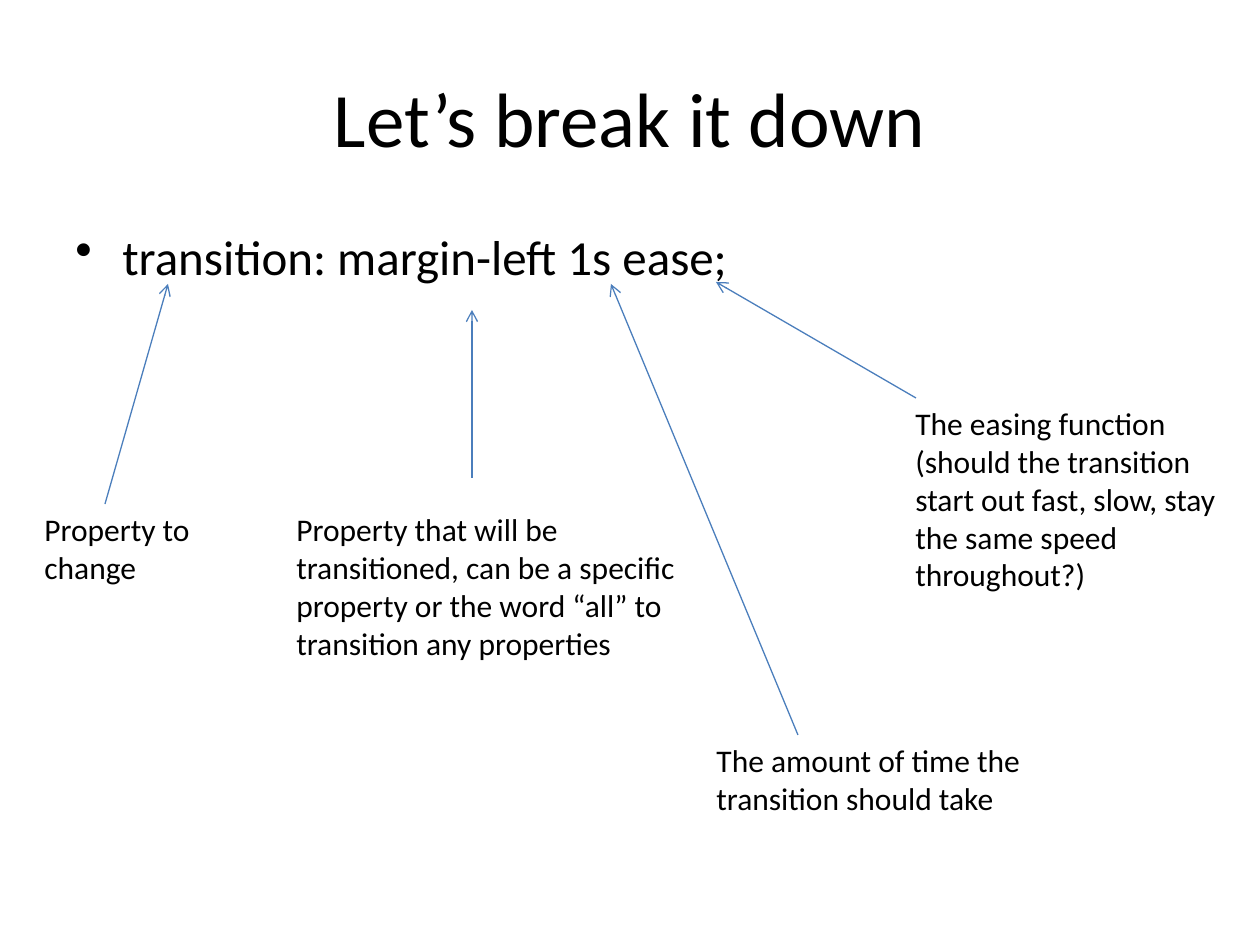
from dataclasses import dataclass

import pptx
import pptx.dml.color
import pptx.enum.shapes
import pptx.enum.text
import pptx.oxml.ns
import pptx.util
from lxml import etree

SCALE = 914400 / 126  # EMU in one px
BLACK = pptx.dml.color.RGBColor(0x00, 0x00, 0x00)
BLUE = pptx.dml.color.RGBColor(0x4B, 0x7E, 0xBC)
FONT = "Calibri"


@dataclass
class Box:
    left: int
    top: int
    width: int
    height: int


@dataclass
class Note:
    text: str
    box: Box
    start: tuple[int, int]
    tip: tuple[int, int]


TITLE = Box(63, 38, 1134, 158)
BODY = Box(63, 220, 1134, 624)
NOTES = [
    Note("Property to change", Box(32, 504, 242, 89), (105, 504), (168, 284)),
    Note("Property that will be transitioned, can be a specific property "
         "or the word “all” to transition any properties",
         Box(284, 504, 431, 165), (472, 478), (472, 310)),
    Note("The amount of time the transition should take",
         Box(704, 735, 336, 89), (798, 735), (611, 284)),
    Note("The easing function (should the transition start out fast, slow, "
         "stay the same speed throughout?)",
         Box(903, 398, 325, 204), (916, 398), (716, 282)),
]


def px(count: int) -> int:
    return round(count * SCALE)


def add_sub(parent, tag: str, **attrs: str):
    return etree.SubElement(parent, pptx.oxml.ns.qn(tag), attrs)


def add_text(slide, text: str, box: Box, size: int):
    shape = slide.shapes.add_textbox(
        px(box.left), px(box.top), px(box.width), px(box.height))
    frame = shape.text_frame
    frame.word_wrap = True
    para = frame.paragraphs[0]
    para.text = text
    para.font.name = FONT
    para.font.size = pptx.util.Pt(size)
    para.font.color.rgb = BLACK
    return frame


def add_bullet(para, indent: int) -> None:
    props = para._p.get_or_add_pPr()
    props.set("marL", str(px(indent)))
    props.set("indent", str(-px(indent)))
    mark = add_sub(props, "a:buChar", char="•")
    props.remove(mark)
    props.insert(0, mark)  # the schema wants it before the font


def add_arrow(slide, start: tuple[int, int], tip: tuple[int, int]) -> None:
    line = slide.shapes.add_connector(
        pptx.enum.shapes.MSO_CONNECTOR.STRAIGHT,
        *map(px, start), *map(px, tip))
    line.line.color.rgb = BLUE
    line.line.width = pptx.util.Pt(0.75)
    add_sub(line.line._get_or_add_ln(), "a:tailEnd", type="arrow")
    add_sub(line._element.spPr, "a:effectLst")


def main() -> None:
    deck = pptx.Presentation()
    deck.slide_width = px(1260)
    deck.slide_height = px(945)
    slide = deck.slides.add_slide(deck.slide_layouts[6])

    # Title
    title = add_text(slide, "Let’s break it down", TITLE, 44)
    title.vertical_anchor = pptx.enum.text.MSO_ANCHOR.MIDDLE
    title.paragraphs[0].alignment = pptx.enum.text.PP_ALIGN.CENTER

    # Code line
    body = add_text(slide, "transition: margin-left 1s ease;", BODY, 28)
    add_bullet(body.paragraphs[0], 47)

    # Notes, each with an arrow to its part of the code
    for note in NOTES:
        add_arrow(slide, note.start, note.tip)
        add_text(slide, note.text, note.box, 18)

    deck.save("out.pptx")


if __name__ == "__main__":
    main()
